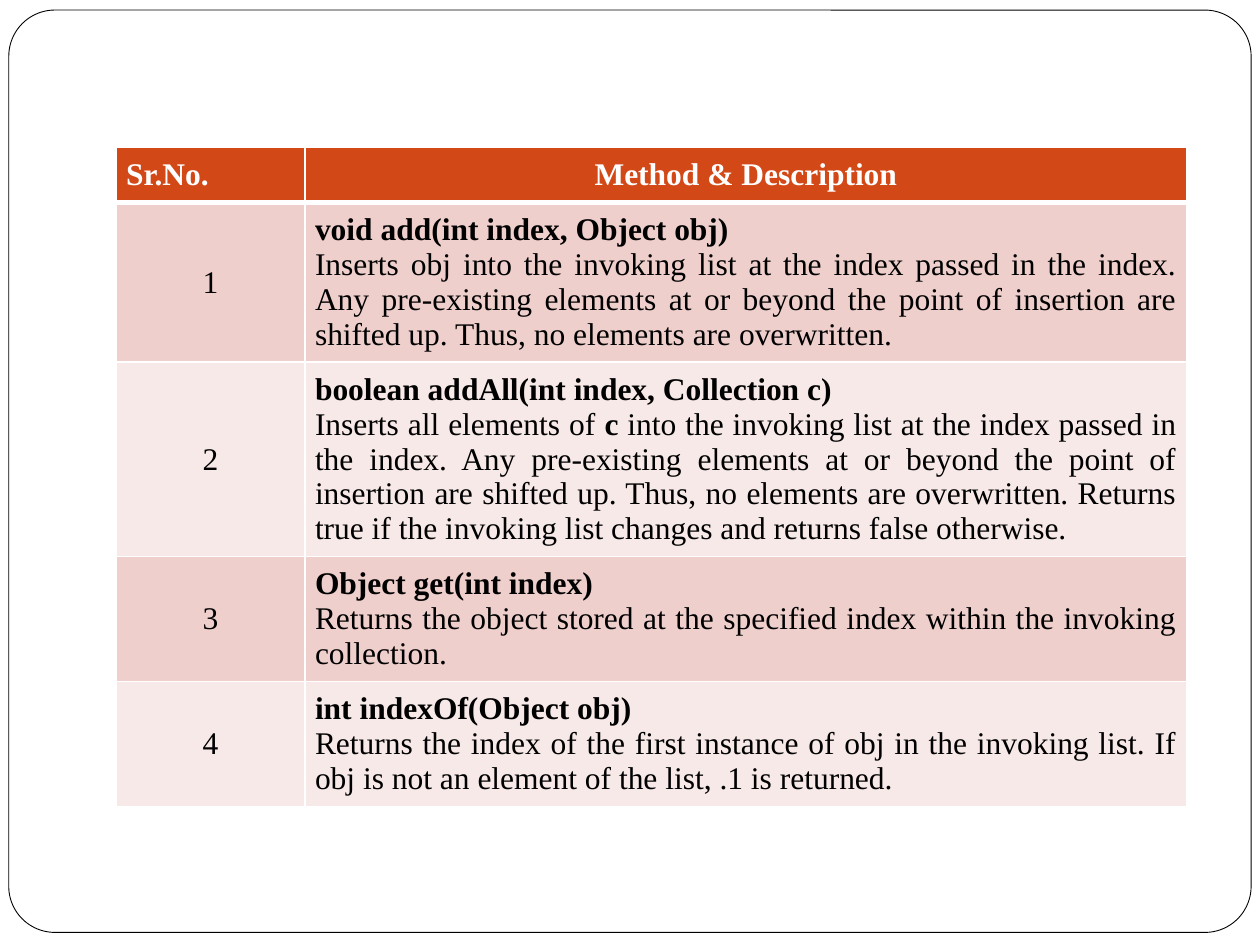
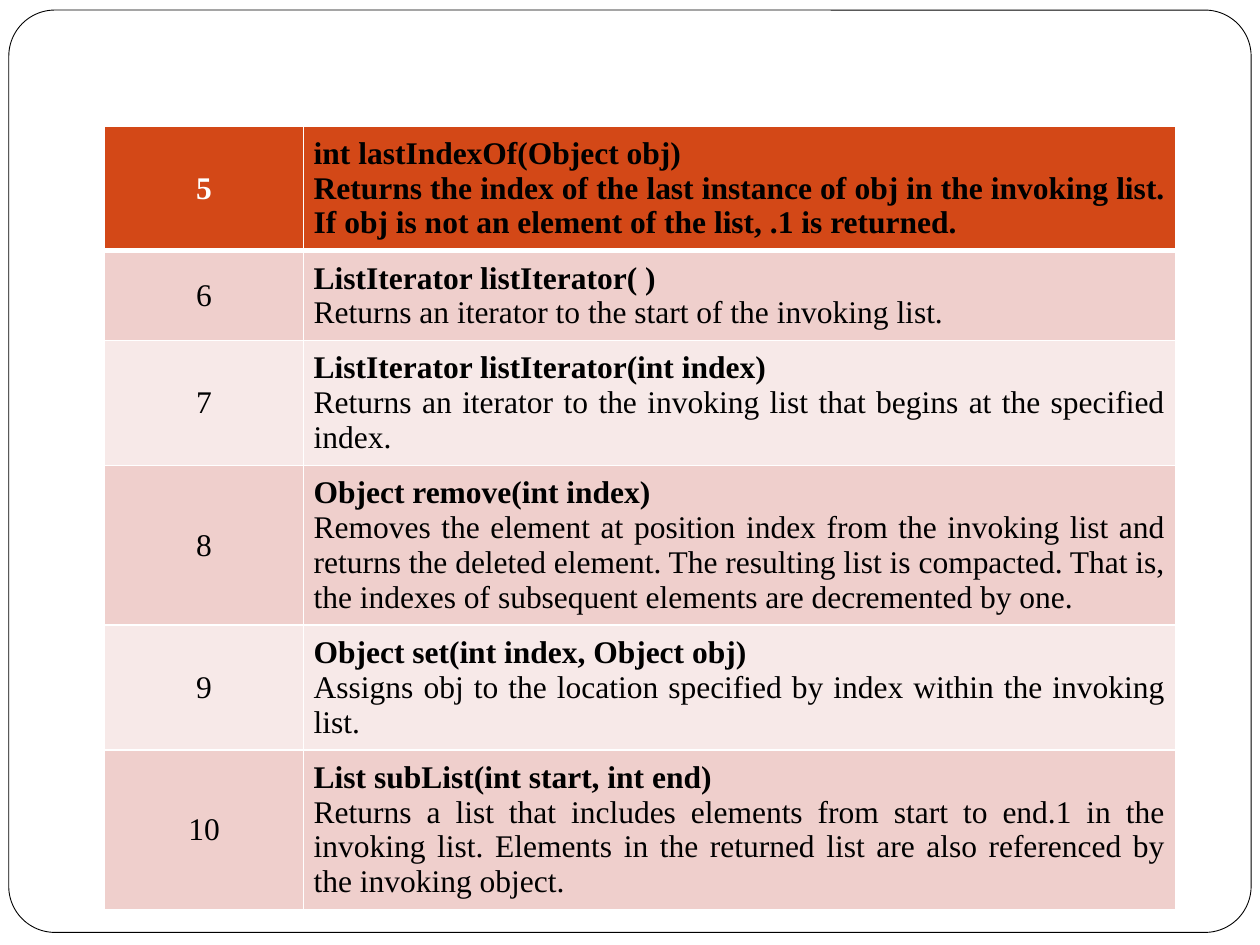
from lxml.etree import SubElement
from pptx import Presentation
from pptx.dml.color import RGBColor
from pptx.enum.shapes import MSO_SHAPE as Shape
from pptx.enum.text import MSO_ANCHOR as Anchor, PP_ALIGN as Align
from pptx.oxml.ns import qn
from pptx.util import Inches, Pt

WHITE = RGBColor(0xFF, 0xFF, 0xFF)
BLACK = RGBColor(0, 0, 0)
RUST = RGBColor(0xD3, 0x48, 0x17)
BANDS = [RGBColor(0xEF, 0xCF, 0xCC), RGBColor(0xF7, 0xE9, 0xE8)]
FONT = "Times New Roman"
ROW = 0.41
PAD = Inches(0.08)

PAGES = [
    {
        "box": (0.92, 1.17, 8.5, 5.63),
        "cols": (1.5, 7),
        "rows": [
            ("Sr.No.", "Method & Description"),
            ("1", "void add(int index, Object obj)", [
                "Inserts obj into the invoking list at the index passed in the index. "
                "Any pre-existing elements at or beyond the point of insertion are "
                "shifted up. Thus, no elements are overwritten."]),
            ("2", "boolean addAll(int index, Collection c)", [
                "Inserts all elements of ", "c",
                " into the invoking list at the index passed in the index. "
                "Any pre-existing elements at or beyond the point of insertion are "
                "shifted up. Thus, no elements are overwritten. Returns true if the "
                "invoking list changes and returns false otherwise."]),
            ("3", "Object get(int index)", [
                "Returns the object stored at the specified index within the "
                "invoking collection."]),
            ("4", "int indexOf(Object obj)", [
                "Returns the index of the first instance of obj in the invoking list. "
                "If obj is not an element of the list, .1 is returned."]),
        ],
    },
    {
        "box": (0.83, 1, 8.5, 6.1),
        "cols": (1.58, 6.92),
        "rows": [
            ("5", "int lastIndexOf(Object obj)", [
                "Returns the index of the last instance of obj in the invoking list. "
                "If obj is not an element of the list, .1 is returned."]),
            ("6", "ListIterator listIterator( )", [
                "Returns an iterator to the start of the invoking list."]),
            ("7", "ListIterator listIterator(int index)", [
                "Returns an iterator to the invoking list that begins at the "
                "specified index."]),
            ("8", "Object remove(int index)", [
                "Removes the element at position index from the invoking list and "
                "returns the deleted element. The resulting list is compacted. That "
                "is, the indexes of subsequent elements are decremented by one."]),
            ("9", "Object set(int index, Object obj)", [
                "Assigns obj to the location specified by index within the "
                "invoking list."]),
            ("10", "List subList(int start, int end)", [
                "Returns a list that includes elements from start to end.1 in the "
                "invoking list. Elements in the returned list are also referenced "
                "by the invoking object."]),
        ],
    },
]


def add_frame(slide):
    frame = slide.shapes.add_shape(Shape.ROUNDED_RECTANGLE, Inches(0.07),
                                   Inches(0.08), Inches(9.86), Inches(7.32))
    frame.adjustments[0] = 0.05
    frame.shadow.inherit = False
    frame.fill.solid()
    frame.fill.fore_color.rgb = WHITE
    frame.line.color.rgb = BLACK
    frame.line.width = Pt(0.5)


def add_run(para, text, color, bold):
    run = para.add_run()
    run.text = text
    font = run.font
    font.name, font.size, font.bold = FONT, Pt(18), bold
    font.color.rgb = color


def set_edges(cell, row):
    props = cell._tc.get_or_add_tcPr()
    widths = {"L": 1, "R": 1, "T": 3 if row == 1 else 1, "B": 3 if row == 0 else 1}
    for spot, (side, width) in enumerate(widths.items()):
        edge = SubElement(props, qn(f"a:ln{side}"), w=str(Pt(width)))
        fill = SubElement(edge, qn("a:solidFill"))
        SubElement(fill, qn("a:srgbClr"), val=str(WHITE))
        props.insert(spot, edge)


def style_cell(cell, row):
    cell.margin_left = cell.margin_right = PAD
    cell.margin_top = cell.margin_bottom = PAD
    cell.fill.solid()
    cell.fill.fore_color.rgb = BANDS[(row - 1) % 2] if row else RUST
    set_edges(cell, row)


def fill_row(table, row, label, name, parts=()):
    left, right = table.cell(row, 0), table.cell(row, 1)
    for cell in (left, right):
        style_cell(cell, row)
    head = row == 0
    para = left.text_frame.paragraphs[0]
    add_run(para, label, WHITE if head else BLACK, head)
    if parts:
        left.vertical_anchor = Anchor.MIDDLE
        para.alignment = Align.CENTER

    para = right.text_frame.paragraphs[0]
    para.alignment = Align.JUSTIFY if parts else Align.CENTER
    add_run(para, name, BLACK if parts else WHITE, True)
    if parts:
        para = right.text_frame.add_paragraph()
        para.alignment = Align.JUSTIFY
        for spot, text in enumerate(parts):
            add_run(para, text, BLACK, head or spot % 2 == 1)


def add_methods(slide, box, cols, rows):
    left, top, width, height = map(Inches, box)
    holder = slide.shapes.add_table(len(rows), len(cols), left, top, width,
                                    Inches(ROW * len(rows)))
    table = holder.table
    table.first_row = table.horz_banding = False
    for col, size in zip(table.columns, cols):
        col.width = Inches(size)
    for row, entry in enumerate(rows):
        fill_row(table, row, *entry)
    holder.height = height


def main():
    deck = Presentation()
    deck.slide_width, deck.slide_height = Inches(10), Inches(7.5)
    for page in PAGES:
        slide = deck.slides.add_slide(deck.slide_layouts[6])
        add_frame(slide)
        add_methods(slide, **page)
    deck.save("out.pptx")


if __name__ == "__main__":
    main()
